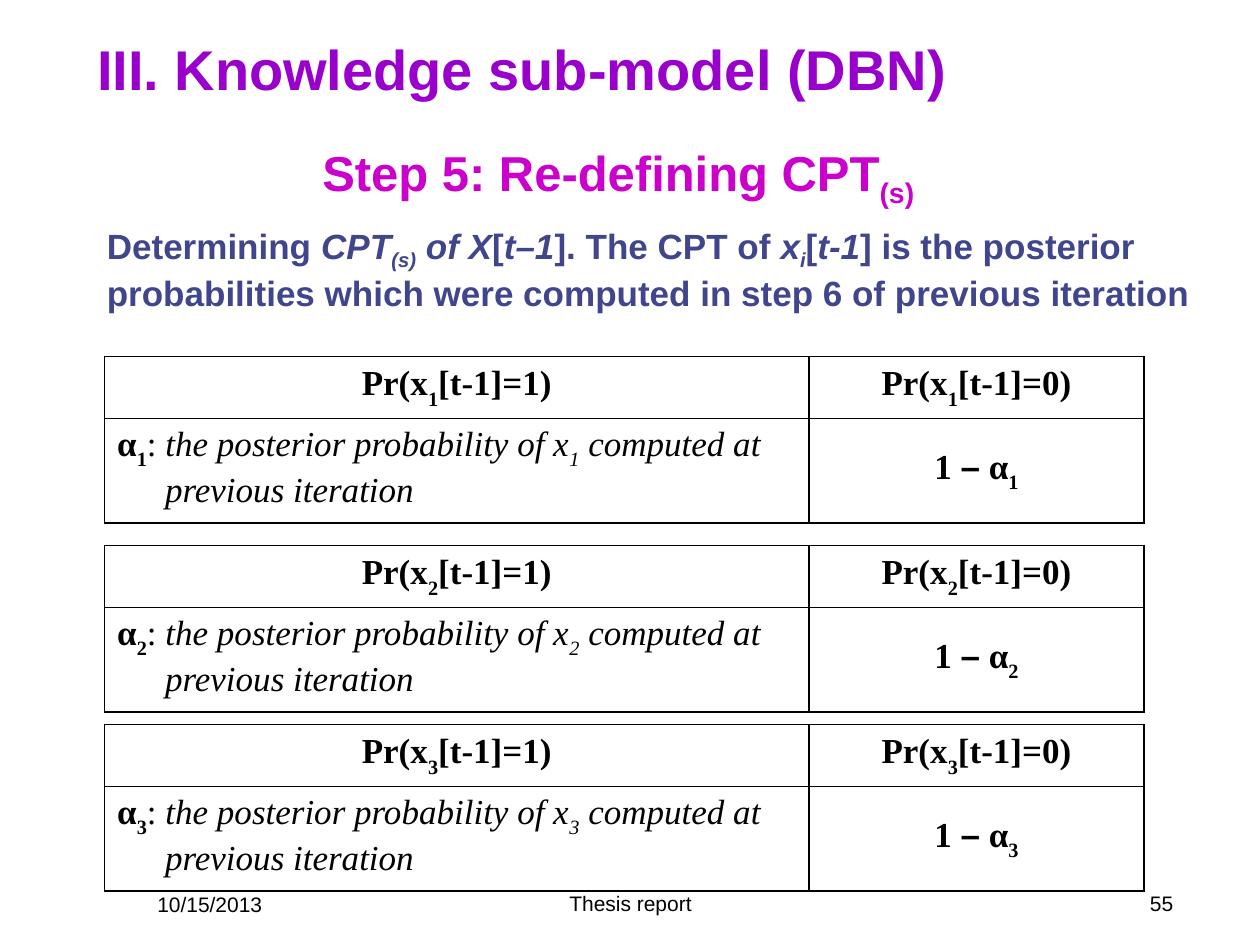
"""Build the slide on re-defining the CPTs in the knowledge sub-model."""
from lxml import etree
from pptx import Presentation
from pptx.dml.color import RGBColor
from pptx.enum.text import MSO_ANCHOR, PP_ALIGN
from pptx.oxml.ns import qn
from pptx.util import Inches, Pt

LEFT, CENTER, RIGHT = PP_ALIGN.LEFT, PP_ALIGN.CENTER, PP_ALIGN.RIGHT
TOP, MIDDLE = MSO_ANCHOR.TOP, MSO_ANCHOR.MIDDLE
SANS, SERIF = "Arial", "Times New Roman"
COLORS = {"title": "9900CC", "step": "CC00CC", "body": "40458C", "text": "000000"}

TITLE = [("III. Knowledge sub-model (DBN)", "b")]
STEP = [("Step 5: Re-defining CPT", "b"), ("(s)", "bs")]
EXPLANATION = [
    ("Determining", "b"), (" CPT", "bi"), ("(s)", "bis"), (" of X", "bi"),
    ("[", "b"), ("t–1", "bi"), ("]. The CPT of ", "b"), ("x", "bi"), ("i", "bis"),
    ("[", "b"), ("t-1", "bi"),
    ("] is the posterior probabilities which were computed in step 6 "
     "of previous iteration", "b"),
]
FOOTERS = [
    ("10/15/2013", (1.15, 7.03, 2.33, 0.52), LEFT),
    ("Thesis report", (3.42, 7.02, 3.17, 0.52), CENTER),
    ("55", (7.08, 7.02, 2.33, 0.52), RIGHT),
]
CPT_LEFT, CPT_COLUMNS, HANGING = 0.83, (5.59, 2.66), 0.38
CPTS = [
    ("1", 2.83, (0.47, 0.78)),
    ("2", 4.33, (0.47, 0.78)),
    ("3", 5.75, (0.49, 0.83)),
]


def cpt_cells(index):
    header = [[("Pr(x", "b"), (index, "bs"), (f"[t-1]={value})", "b")] for value in (1, 0)]
    posterior = [("α", "b"), (index, "bs"), (": ", ""),
                 ("the posterior probability of x", "i"), (index, "is"),
                 (" computed at previous iteration", "i")]
    complement = [("1 ", "b"), ("–", "ba"), (" α", "b"), (index, "bs")]
    return [header, [posterior, complement]]


def write(frame, pieces, size, color, font=SANS, align=LEFT, drop=-25):
    """Styles: b bold, i italic, s subscript, a sans-serif."""
    paragraph = frame.paragraphs[0]
    paragraph.alignment = align
    for text, style in pieces:
        run = paragraph.add_run()
        run.text = text
        run.font.size = Pt(size)
        run.font.name = SANS if "a" in style else font
        run.font.bold = "b" in style
        run.font.italic = "i" in style
        run.font.color.rgb = RGBColor.from_string(COLORS[color])
        if "s" in style:
            run._r.get_or_add_rPr().set("baseline", str(drop * 1000))
    return paragraph


def add_text(slide, box, pieces, size, color, align=LEFT, wrap=True):
    frame = slide.shapes.add_textbox(*map(Inches, box)).text_frame
    frame.word_wrap = wrap
    write(frame, pieces, size, color, align=align)


def outline(cell):
    cell.fill.background()
    properties = cell._tc.get_or_add_tcPr()
    for position, side in enumerate(("lnL", "lnR", "lnT", "lnB")):
        line = etree.Element(qn(f"a:{side}"), w=str(Pt(1)))
        fill = etree.SubElement(line, qn("a:solidFill"))
        etree.SubElement(fill, qn("a:srgbClr"), val=COLORS["text"])
        properties.insert(position, line)


def add_cpt(slide, index, top, heights):
    frame = slide.shapes.add_table(
        len(heights), len(CPT_COLUMNS), Inches(CPT_LEFT), Inches(top),
        Inches(sum(CPT_COLUMNS)), Inches(sum(heights)))
    table = frame.table
    table.first_row = table.horz_banding = False
    for column, width in zip(table.columns, CPT_COLUMNS):
        column.width = Inches(width)
    for row, height, contents in zip(table.rows, heights, cpt_cells(index)):
        row.height = Inches(height)
        for cell, pieces in zip(row.cells, contents):
            is_posterior = pieces[0][0] == "α"
            outline(cell)
            cell.vertical_anchor = TOP if is_posterior else MIDDLE
            paragraph = write(cell.text_frame, pieces, 20, "text", SERIF,
                              LEFT if is_posterior else CENTER, drop=-30)
            properties = paragraph._p.get_or_add_pPr()
            properties.set("marL", str(Inches(HANGING)))
            properties.set("indent", str(-Inches(HANGING)))


def main():
    deck = Presentation()
    deck.slide_width, deck.slide_height = Inches(10), Inches(7.5)
    slide = deck.slides.add_slide(deck.slide_layouts[5])

    title = slide.shapes.title
    title.left, title.top, title.width, title.height = map(Inches, (0.67, 0.08, 8.92, 0.92))
    title.text_frame.vertical_anchor = MIDDLE
    write(title.text_frame, TITLE, 32, "title")

    add_text(slide, (2.46, 1.08, 4.96, 0.57), STEP, 28, "step", wrap=False)
    add_text(slide, (0.75, 1.73, 8.83, 0.77), EXPLANATION, 20, "body")
    for cpt in CPTS:
        add_cpt(slide, *cpt)
    for text, box, align in FOOTERS:
        add_text(slide, box, [(text, "")], 12, "text", align)
    deck.save("out.pptx")


if __name__ == "__main__":
    main()
